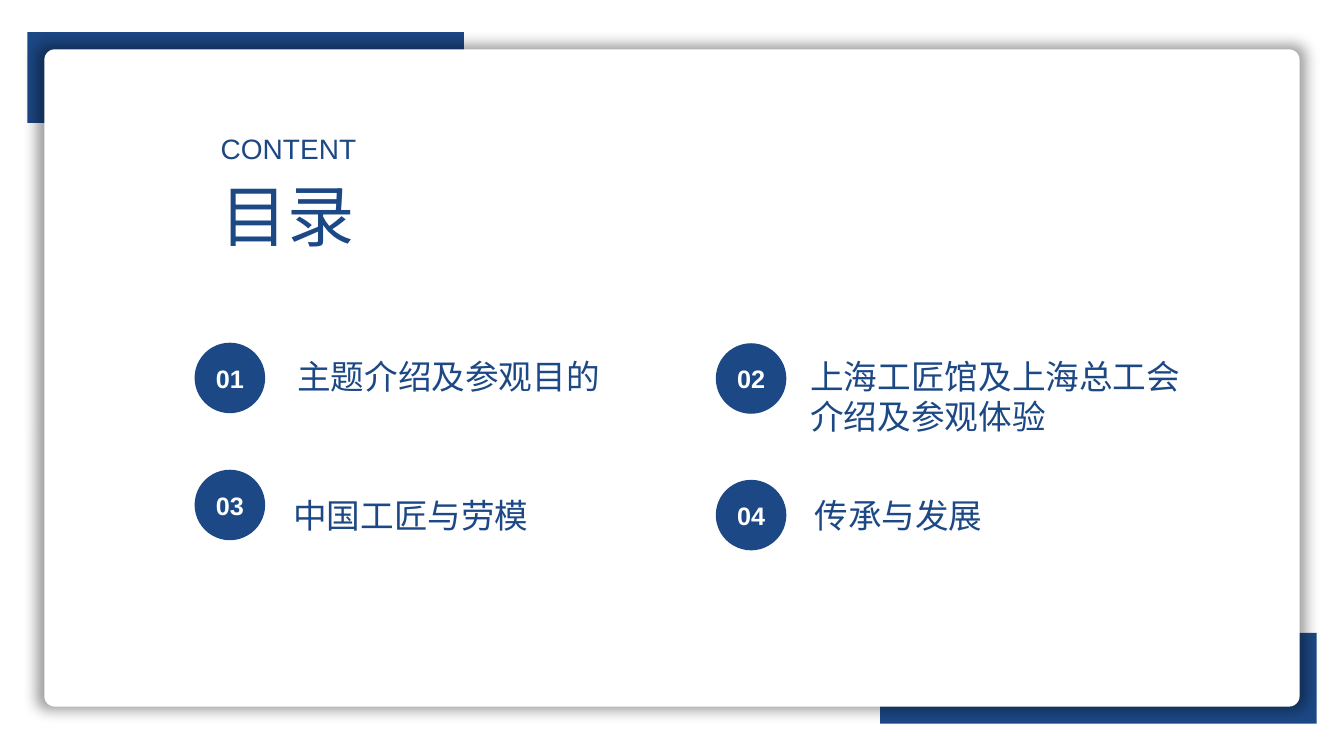
from lxml import etree
from pptx import Presentation
from pptx.dml.color import RGBColor
from pptx.enum.shapes import MSO_SHAPE
from pptx.enum.text import MSO_ANCHOR, MSO_AUTO_SIZE, PP_ALIGN
from pptx.oxml.ns import qn
from pptx.util import Inches, Pt

RECT = MSO_SHAPE.RECTANGLE
ROUND = MSO_SHAPE.ROUNDED_RECTANGLE
OVAL = MSO_SHAPE.OVAL
MIDDLE = MSO_ANCHOR.MIDDLE
GROW = MSO_AUTO_SIZE.SHAPE_TO_FIT_TEXT
LEFT, CENTER, JUSTIFY = PP_ALIGN.LEFT, PP_ALIGN.CENTER, PP_ALIGN.JUSTIFY

BLUE = RGBColor(0x1C, 0x48, 0x85)
WHITE = RGBColor(0xFF, 0xFF, 0xFF)
WIDE, HIGH = Inches(13.33), Inches(7.5)

BAR_X, BAR_Y, BAR_W, BAR_H = 2.03, 4.27, 32.48, 12
CARD_X, CARD_Y = 3.3, 6.53
DOT_W, DOT_H = 5.25, 9.33
HEAD_X, HEAD_W = 15.68, 19.05
ITEM_W = 30.38

ITEMS = [
    ("主题介绍及参观目的", 14.48, 45.33, 21.38, 46.4, 7.2),
    ("上海工匠馆及上海总工会介绍及参观体验", 53.26, 45.4, 59.56, 46.4, 12.13),
    ("中国工匠与劳模", 14.48, 62.13, 21.08, 64.8, 6.67),
    ("传承与发展", 53.26, 63.47, 59.86, 64.8, 6.67),
]


def place(x, y, w, h):
    """Turn percentages of the slide into lengths."""
    return (int(WIDE * x / 100), int(HIGH * y / 100),
            int(WIDE * w / 100), int(HIGH * h / 100))


def add_run(frame, text, size, color, align, bold=False):
    """Write one run in the first paragraph of a frame."""
    para = frame.paragraphs[0]
    para.alignment = align
    run = para.add_run()
    run.text = text
    run.font.name = "Arial"
    run.font.size = Pt(size)
    run.font.bold = bold
    run.font.color.rgb = color


def add_form(slide, kind, box, fill):
    """Add a plain filled shape without a line."""
    form = slide.shapes.add_shape(kind, *place(*box))
    form.shadow.inherit = False
    form.fill.solid()
    form.fill.fore_color.rgb = fill
    form.line.fill.background()
    return form


def add_label(slide, text, box, size, align):
    """Add a blue text box that wraps."""
    frame = slide.shapes.add_textbox(*place(*box)).text_frame
    frame.word_wrap = True
    frame.auto_size = GROW
    add_run(frame, text, size, BLUE, align)


def add_glow(form):
    """Put a soft dark shadow around a shape."""
    effects = form._element.spPr.find(qn("a:effectLst"))
    shade = etree.SubElement(effects, qn("a:outerShdw"), blurRad="127000",
                             sx="101000", sy="101000", algn="ctr",
                             rotWithShape="0")
    tint = etree.SubElement(shade, qn("a:prstClr"), val="black")
    etree.SubElement(tint, qn("a:alpha"), val="40000")


def add_card(slide):
    """Add the corner bars and the white card over them."""
    for x, y in ((100 - BAR_X - BAR_W, 100 - BAR_Y - BAR_H), (BAR_X, BAR_Y)):
        add_form(slide, RECT, (x, y, BAR_W, BAR_H), BLUE)
    box = (CARD_X, CARD_Y, 100 - 2 * CARD_X, 100 - 2 * CARD_Y)
    card = add_form(slide, ROUND, box, WHITE)
    card.adjustments[0] = 0.016
    add_glow(card)


def add_dot(slide, text, x, y):
    """Add a numbered circle."""
    frame = add_form(slide, OVAL, (x, y, DOT_W, DOT_H), BLUE).text_frame
    frame.word_wrap = False
    frame.vertical_anchor = MIDDLE
    add_run(frame, text, 18, WHITE, CENTER, True)


def main():
    """Build the contents slide and save it."""
    deck = Presentation()
    deck.slide_width, deck.slide_height = WIDE, HIGH
    slide = deck.slides.add_slide(deck.slide_layouts[6])
    add_card(slide)
    add_label(slide, "目录", (HEAD_X, 22.4, HEAD_W, 12.13), 48, JUSTIFY)
    add_label(slide, "CONTENT", (HEAD_X, 16.8, HEAD_W, 5.87), 20, JUSTIFY)
    for num, (text, dot_x, dot_y, x, y, h) in enumerate(ITEMS, 1):
        add_dot(slide, f"{num:02}", dot_x, dot_y)
        add_label(slide, text, (x, y, ITEM_W, h), 24, LEFT)
    deck.save("out.pptx")


if __name__ == "__main__":
    main()
